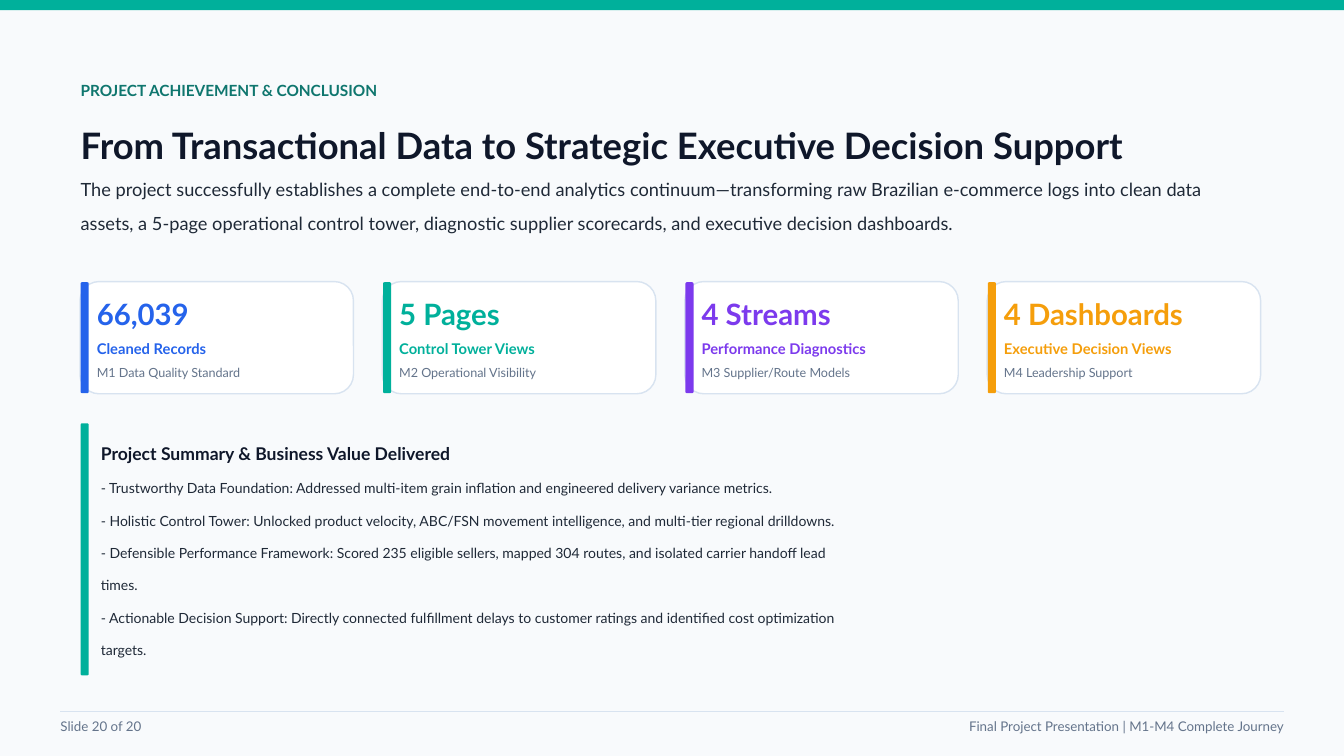
from dataclasses import dataclass

from lxml import etree
from pptx import Presentation
from pptx import util as u
from pptx.dml.color import RGBColor
from pptx.enum import shapes, text
from pptx.oxml.ns import qn


@dataclass(frozen=True)
class Theme:
    """Colours, font and type sizes of the deck."""
    font: str = "Lato"
    paper: str = "F8FAFC"
    card: str = "FFFFFF"
    rule: str = "D8E3F0"
    ink: str = "0F172A"
    body: str = "1F2937"
    muted: str = "64748B"
    eyebrow: str = "0F766E"
    teal: str = "00B09B"
    blue: str = "2563EB"
    violet: str = "7C3AED"
    amber: str = "F59E0B"
    title_size: float = 39
    figure_size: float = 31.5
    lead_size: float = 19.5
    heading_size: float = 18.8
    eyebrow_size: float = 16.5
    label_size: float = 15.8
    body_size: float = 15
    footer_size: float = 14.3
    note_size: float = 13.5


@dataclass(frozen=True)
class Line:
    """One paragraph with its size, colour, leading and weight."""
    words: str
    size: float
    color: str
    leading: float
    bold: bool = False


class SlideBuilder:
    """Draws styled elements on the current slide."""

    def __init__(self, slide, theme):
        self.slide = slide
        self.theme = theme
        slide.background.fill.solid()
        slide.background.fill.fore_color.rgb = RGBColor.from_string(theme.paper)

    def set_lines(self, box, lines, align=text.PP_ALIGN.LEFT):
        frame = box.text_frame
        frame.word_wrap = True
        frame.auto_size = text.MSO_AUTO_SIZE.NONE
        frame.vertical_anchor = text.MSO_ANCHOR.TOP
        frame.margin_left = frame.margin_right = 0
        frame.margin_top = frame.margin_bottom = 0
        for index, line in enumerate(lines):
            paragraph = frame.paragraphs[0] if index == 0 else frame.add_paragraph()
            paragraph.text = line.words
            paragraph.alignment = align
            paragraph.line_spacing = u.Pt(line.leading)
            paragraph.space_before = paragraph.space_after = u.Pt(0)
            paragraph.font.name = self.theme.font
            paragraph.font.size = u.Pt(line.size)
            paragraph.font.bold = line.bold
            paragraph.font.color.rgb = RGBColor.from_string(line.color)

    def title(self, left, top, width, height, line):
        heading = self.slide.shapes.title
        heading.left, heading.top = u.Inches(left), u.Inches(top)
        heading.width, heading.height = u.Inches(width), u.Inches(height)
        self.set_lines(heading, [line])

    def text(self, left, top, width, height, lines, align=text.PP_ALIGN.LEFT):
        box = self.slide.shapes.add_textbox(
            u.Inches(left), u.Inches(top), u.Inches(width), u.Inches(height))
        self.set_lines(box, lines, align)

    def block(self, left, top, width, height, fill, outline=None, corner=0.17):
        kind = (shapes.MSO_SHAPE.ROUNDED_RECTANGLE if corner
                else shapes.MSO_SHAPE.RECTANGLE)
        block = self.slide.shapes.add_shape(
            kind, u.Inches(left), u.Inches(top), u.Inches(width), u.Inches(height))
        block.shadow.inherit = False
        if corner:
            block.adjustments[0] = corner
        block.fill.solid()
        block.fill.fore_color.rgb = RGBColor.from_string(fill)
        if outline:
            block.line.color.rgb = RGBColor.from_string(outline)
            block.line.width = u.Pt(1.5)
        else:
            block.line.fill.background()

    def rule(self, left, right, top):
        rule = self.slide.shapes.add_connector(
            shapes.MSO_CONNECTOR.STRAIGHT,
            u.Inches(left), u.Inches(top), u.Inches(right), u.Inches(top))
        rule.line.color.rgb = RGBColor.from_string(self.theme.rule)
        rule.line.width = u.Pt(1.8)
        etree.SubElement(rule._element.spPr, qn("a:effectLst"))

    def card(self, left, accent, figure, label, note):
        theme = self.theme
        self.block(left, 4.19, 4.07, 1.67, theme.card, theme.rule)
        self.block(left + 0.01, 4.2, 0.12, 1.65, accent)
        self.text(left + 0.25, 4.17, 3.69, 1.47, [
            Line(figure, theme.figure_size, accent, 55.2, True),
            Line(label, theme.label_size, accent, 27.6, True),
            Line(note, theme.note_size, theme.muted, 23.6),
        ])


def main():
    theme = Theme()
    deck = Presentation()
    deck.slide_width, deck.slide_height = u.Inches(20), u.Inches(11.25)
    page = SlideBuilder(deck.slides.add_slide(deck.slide_layouts[5]), theme)

    page.block(0, 0, 20, 0.15, theme.teal, corner=0)
    page.text(1.2, 1.2, 17.26, 0.28, [
        Line("PROJECT ACHIEVEMENT & CONCLUSION",
             theme.eyebrow_size, theme.eyebrow, 19.8, True)])
    page.title(1.2, 1.48, 17.26, 1, Line(
        "From Transactional Data to Strategic Executive Decision Support",
        theme.title_size, theme.ink, 72.6, True))
    page.text(1.2, 2.48, 17.26, 1, [
        Line("The project successfully establishes a complete end-to-end analytics "
             "continuum—transforming raw Brazilian e-commerce logs into clean data "
             "assets, a 5-page operational control tower, diagnostic supplier "
             "scorecards, and executive decision dashboards.",
             theme.lead_size, theme.body, 36.3)])

    milestones = [
        (theme.blue, "66,039", "Cleaned Records", "M1 Data Quality Standard"),
        (theme.teal, "5 Pages", "Control Tower Views", "M2 Operational Visibility"),
        (theme.violet, "4 Streams", "Performance Diagnostics",
         "M3 Supplier/Route Models"),
        (theme.amber, "4 Dashboards", "Executive Decision Views",
         "M4 Leadership Support"),
    ]
    for column, milestone in enumerate(milestones):
        page.card(1.19 + column * 4.5, *milestone)

    values = [
        "- Trustworthy Data Foundation: Addressed multi-item grain inflation and "
        "engineered delivery variance metrics.",
        "- Holistic Control Tower: Unlocked product velocity, ABC/FSN movement "
        "intelligence, and multi-tier regional drilldowns.",
        "- Defensible Performance Framework: Scored 235 eligible sellers, mapped "
        "304 routes, and isolated carrier handoff lead times.",
        "- Actionable Decision Support: Directly connected fulfillment delays to "
        "customer ratings and identified cost optimization targets.",
    ]
    page.block(1.2, 6.3, 0.12, 3.75, theme.teal)
    page.text(1.5, 6.3, 11.18, 3.6, [
        Line("Project Summary & Business Value Delivered",
             theme.heading_size, theme.ink, 43.5, True),
        *(Line(value, theme.body_size, theme.body, 34.8) for value in values)])

    page.rule(0.9, 19.11, 10.59)
    footers = [
        (0.9, "Slide 20 of 20", text.PP_ALIGN.LEFT),
        (13.11, "Final Project Presentation | M1-M4 Complete Journey",
         text.PP_ALIGN.RIGHT),
    ]
    for left, words, align in footers:
        page.text(left, 10.69, 6, 0.38,
                  [Line(words, theme.footer_size, theme.muted, 17.1)], align)

    deck.save("out.pptx")


if __name__ == "__main__":
    main()
